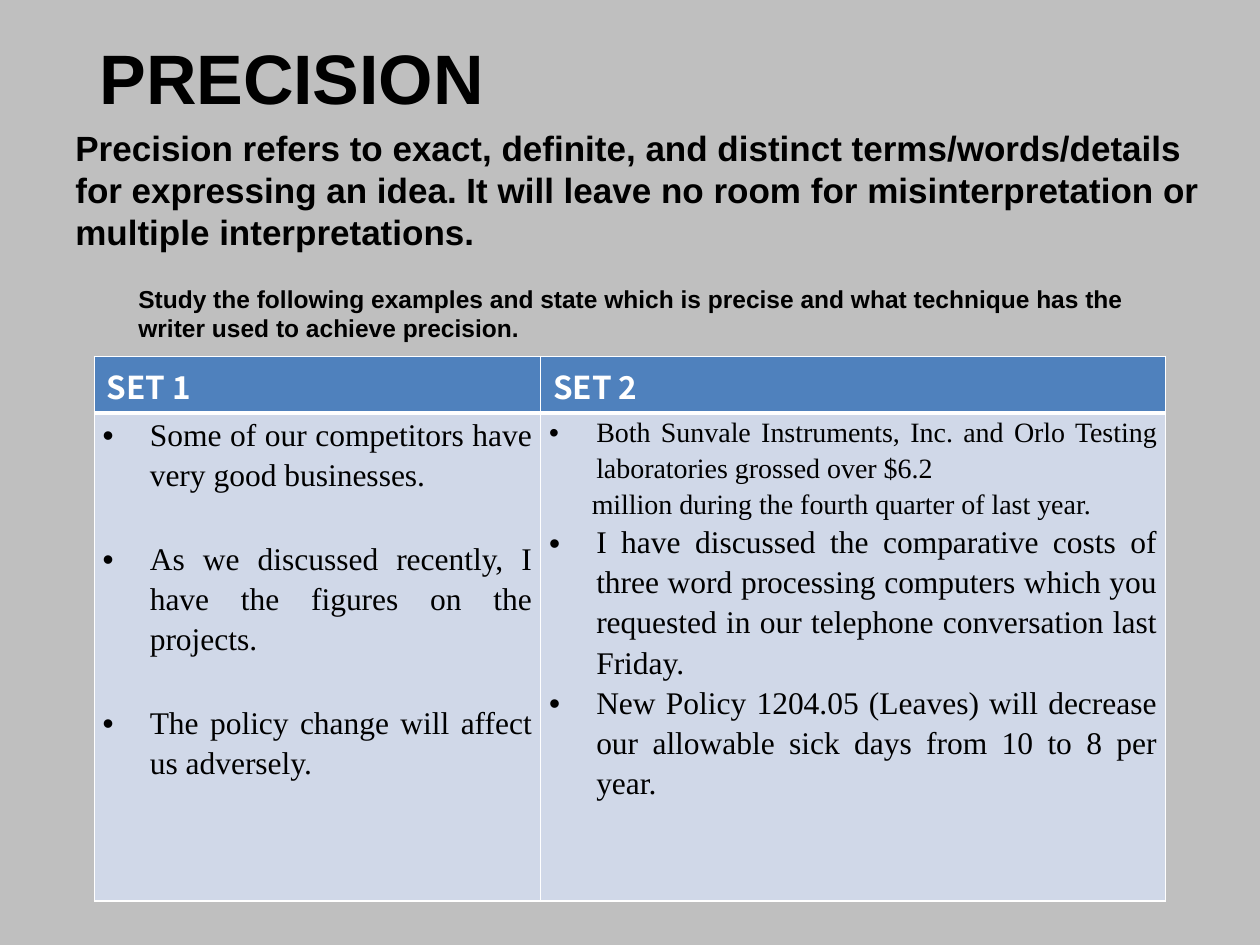
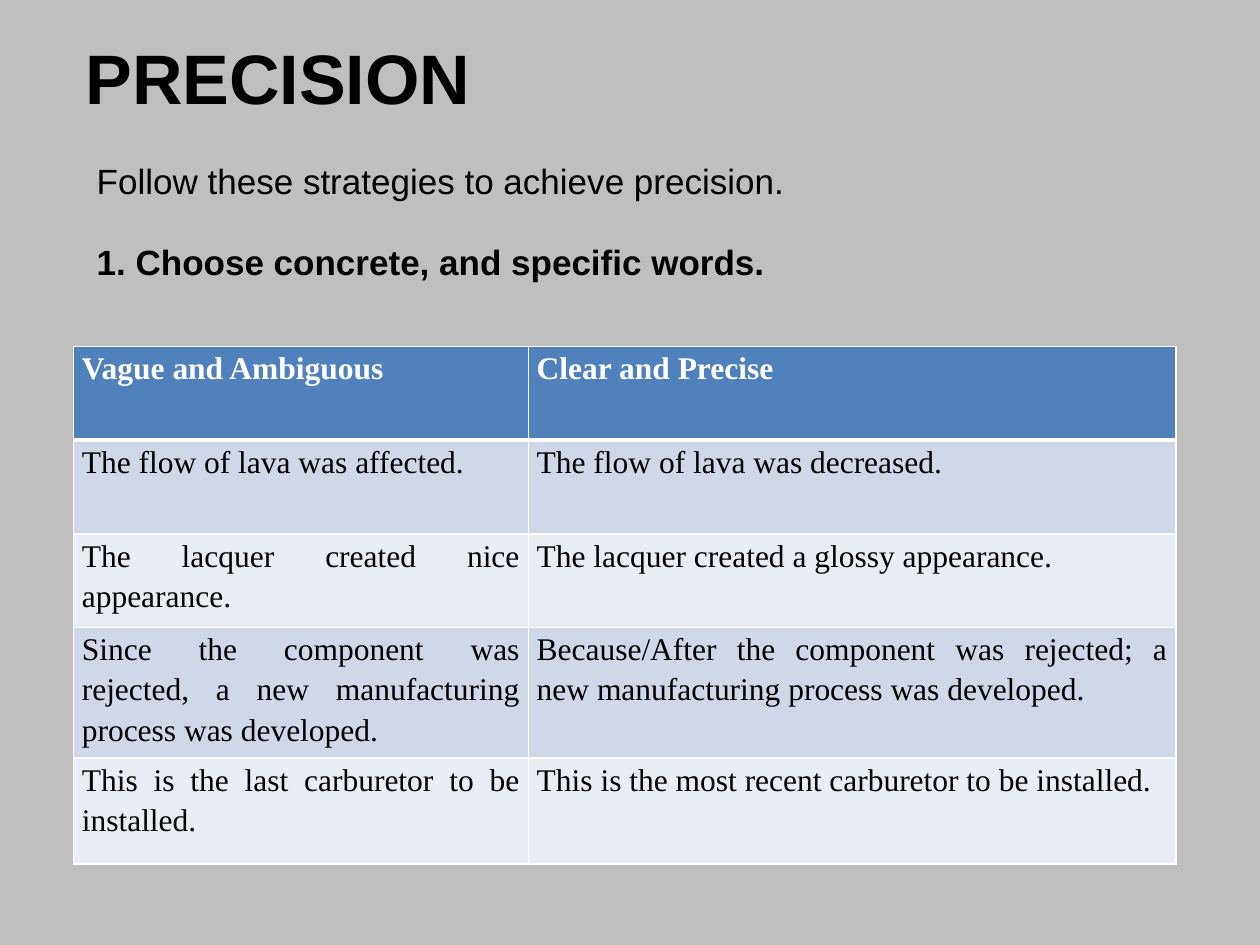
from copy import deepcopy

from lxml import etree
from pptx import Presentation
from pptx import util as u
from pptx.dml.color import RGBColor
from pptx.enum import text
from pptx.oxml import ns

COLOURS = {
    "page": "BFBFBF",
    "ink": "000000",
    "header": "4F81BD",
    "band": "D0D8E8",
    "pale": "E9EDF4",
    "line": "FFFFFF",
}
HEADING_FONT, TABLE_FONT = "Arial", "Times New Roman"


def write(frame, items, **shared):
    """Fill a text frame; each item is a text or a (text, own format) pair."""
    frame.word_wrap = True
    for index, item in enumerate(items):
        words, own = item if isinstance(item, tuple) else (item, {})
        style = {**shared, **own}
        para = frame.paragraphs[0] if index == 0 else frame.add_paragraph()
        para.text = words
        para.alignment = style.get("align", text.PP_ALIGN.LEFT)
        para.line_spacing = style.get("spacing", 1.0)
        para.space_before = u.Pt(style.get("before", 0))
        props = para._p.get_or_add_pPr()
        props.set("marL", str(u.Cm(style.get("margin", 0))))
        props.set("indent", str(u.Cm(style.get("hanging", 0))))
        if style.get("bullet"):
            etree.SubElement(props, ns.qn("a:buFont"), typeface="Arial")
            etree.SubElement(props, ns.qn("a:buChar"), char="•")
        for span in para.runs:
            span.font.name = style["font"]
            span.font.size = u.Pt(style["size"])
            span.font.bold = style.get("bold", False)
            span.font.color.rgb = RGBColor.from_string(COLOURS[style.get("colour", "ink")])
        # Line breaks take the format of the words around them
        for line_break in para._p.findall(ns.qn("a:br")):
            line_break.append(deepcopy(para.runs[0]._r.rPr))


def add_grid(page, place, widths, heights, rows, header_style, body_style):
    """Add a table with a header row, alternating bands and white rules."""
    left, top = place
    table = page.shapes.add_table(
        len(heights), len(widths), u.Cm(left), u.Cm(top),
        u.Cm(sum(widths)), u.Cm(sum(heights))).table
    for column, width in zip(table.columns, widths):
        column.width = u.Cm(width)
    for r, height in enumerate(heights):
        table.rows[r].height = u.Cm(height)
        style = body_style if r else header_style
        side, edge = style.get("inset", (0.17, 0))
        for c, items in enumerate(rows[r]):
            cell = table.cell(r, c)
            cell.margin_left = cell.margin_right = u.Cm(side)
            cell.margin_top = cell.margin_bottom = u.Cm(edge)
            write(cell.text_frame, items, **style)
            # The rule below the header is thicker
            thick = {0: "lnB", 1: "lnT"}.get(r)
            for name in ("lnL", "lnR", "lnT", "lnB"):
                width = u.Pt(3 if name == thick else 1)
                rule = etree.SubElement(cell._tc.get_or_add_tcPr(), ns.qn(f"a:{name}"), w=str(width))
                fill = etree.SubElement(rule, ns.qn("a:solidFill"))
                etree.SubElement(fill, ns.qn("a:srgbClr"), val=COLOURS["line"])
            cell.fill.solid()
            shade = "header" if r == 0 else "band" if r % 2 else "pale"
            cell.fill.fore_color.rgb = RGBColor.from_string(COLOURS[shade])


# Deck and shared background
deck = Presentation()
deck.slide_width, deck.slide_height = u.Cm(25.4), u.Cm(19.05)
background = deck.slide_master.background.fill
background.solid()
background.fore_color.rgb = RGBColor.from_string(COLOURS["page"])

# Titles and statements: left, top, width, height in cm
middle, upper = text.MSO_ANCHOR.MIDDLE, text.MSO_ANCHOR.TOP
contents = [
    ((1.75, 0.61, 8.46, 1.88), [
        ((1.27, 2.6, 23.29, 2.46), middle, 20, True,
         "Precision refers to exact, definite, and distinct terms/words/details "
         "for expressing an idea. It will leave no room for misinterpretation or "
         "multiple interpretations."),
        ((2.54, 5.6, 21, 1.4), upper, 14, True,
         "Study the following examples and state which is precise and what "
         "technique has the writer used to achieve precision."),
    ]),
    ((1.47, 0.05, 23.93, 2.97), [
        ((1.7, 3, 22.45, 1.27), middle, 20, False,
         "Follow these strategies to achieve precision."),
        ((1.7, 4.73, 21, 1.1), upper, 20, True,
         "1. Choose concrete, and specific words."),
    ]),
]
pages = []
for title_place, statements in contents:
    page = deck.slides.add_slide(deck.slide_layouts[5])
    pages.append(page)
    title = page.shapes.title
    title.left, title.top, title.width, title.height = map(u.Cm, title_place)
    title.text_frame.vertical_anchor = middle
    write(title.text_frame, ["PRECISION"], font=HEADING_FONT, size=40, bold=True)
    for place, anchor, size, bold, words in statements:
        box = page.shapes.add_textbox(*map(u.Cm, place))
        box.text_frame.vertical_anchor = anchor
        write(box.text_frame, [words], font=HEADING_FONT, size=size, bold=bold)

# Shared table text styles
body_style = dict(font=TABLE_FONT, size=18, spacing=1.15, align=text.PP_ALIGN.JUSTIFY)
header_style = {**body_style, "bold": True, "colour": "line"}
set_header = dict(font="Noto Sans CJK KR", size=18, bold=True, colour="line", inset=(0.25, 0.13))
bullet_style = {**body_style, "bullet": True, "margin": 0.95, "hanging": -0.95}

# Slide 1: two sets of examples
spaced = {"before": 25}
examples = [
    [["SET 1"], ["SET 2"]],
    [
        ["Some of our competitors have very good businesses.",
         ("As we discussed recently, I\vhave the figures on the\vprojects.", spaced),
         ("The policy change will affect us adversely.", spaced)],
        [("Both Sunvale Instruments, Inc. and Orlo Testing laboratories grossed over $6.2",
          {"size": 16}),
         ("million during the fourth quarter of last year.",
          {"size": 16, "bullet": False, "margin": 0.86, "hanging": 0}),
         "I have discussed the comparative costs of\vthree word processing computers "
         "which you requested in our telephone conversation last Friday.",
         "New Policy 1204.05 (Leaves) will decrease our allowable sick days "
         "from 10 to 8 per\vyear."],
    ],
]
add_grid(pages[0], (1.9, 7.19), (9, 12.6), (1.14, 9.83), examples, set_header, bullet_style)

# Slide 2: vague wording against precise wording
pairs = [
    ("Vague and Ambiguous", "Clear and Precise"),
    ("The flow of lava was affected.", "The flow of lava was decreased."),
    ("The lacquer created nice\vappearance.", "The lacquer created a glossy appearance."),
    ("Since the component was\vrejected, a new manufacturing process was developed.",
     "Because/After the component was rejected; a\vnew manufacturing process was developed."),
    ("This is the last carburetor to be\vinstalled.",
     "This is the most recent carburetor to be installed."),
]
add_grid(pages[1], (1.48, 6.98), (9.17, 13.06), (1.89, 1.89, 1.89, 2.41, 2.14),
         [[[words] for words in pair] for pair in pairs], header_style, body_style)

deck.save("out.pptx")
